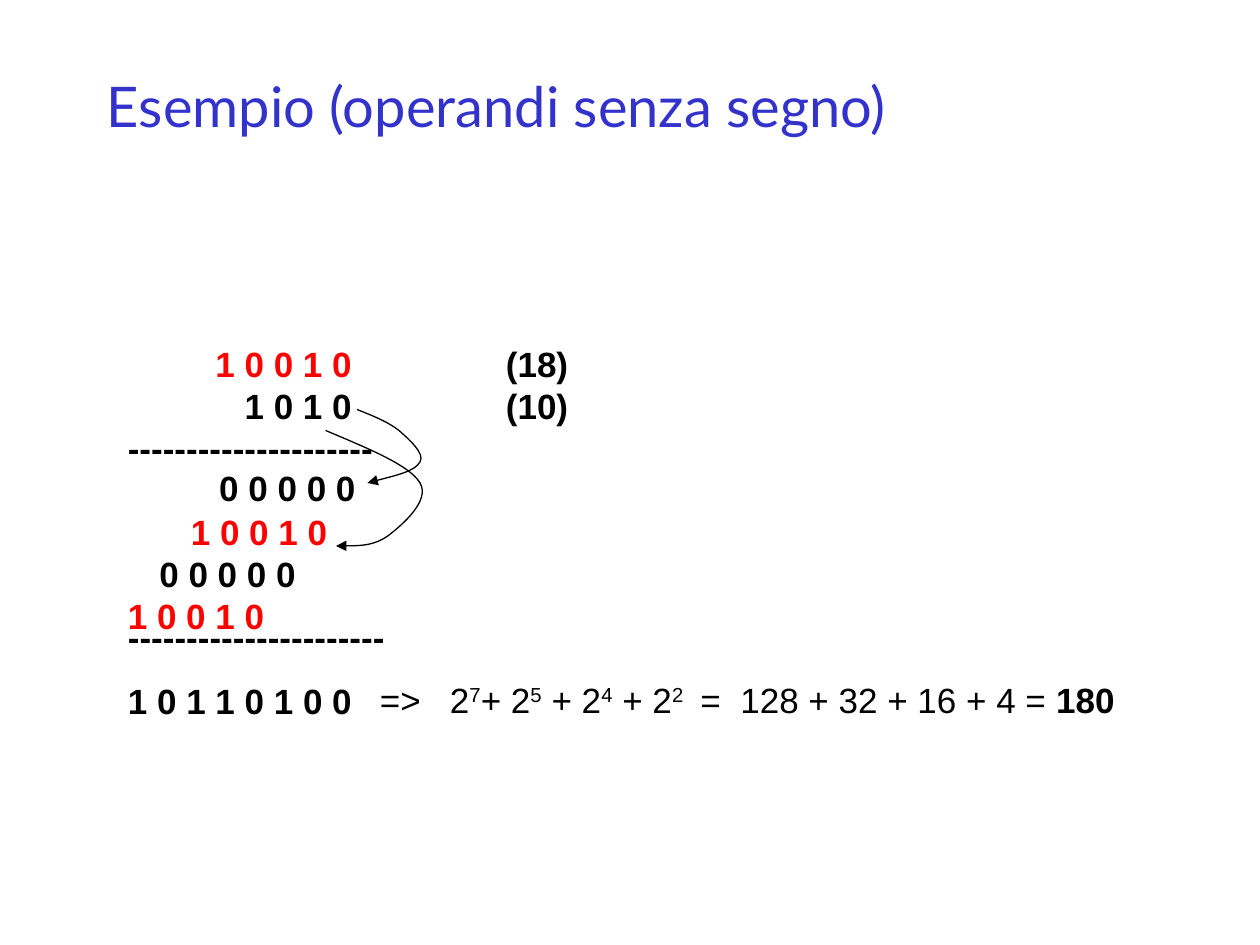
from lxml.etree import SubElement
from pptx import Presentation
from pptx.dml.color import RGBColor
from pptx.enum.text import MSO_ANCHOR
from pptx.oxml.ns import qn
from pptx.util import Inches, Pt

BLACK, RED, BLUE = "000000", "FF0000", "3333CC"


def rgb(value):
    return RGBColor.from_string(value)


class SlideWriter:
    """Places elements on a grid of twelve cells to the inch."""

    font, size, leading = "Arial", 20, 24

    def __init__(self, prs):
        self.slide = prs.slides.add_slide(prs.slide_layouts[6])

    def cells(self, *values):
        return [Inches(v / 12) for v in values]

    def run(self, p, text, color=BLACK, bold=False, size=None, font=None, raised=False, gap=0):
        """Add a run; gap widens each character by that many points."""
        r = p.add_run()
        r.text = text
        r.font.name = font or self.font
        r.font.size = Pt(size or self.size)
        r.font.bold = bold
        r.font.color.rgb = rgb(color)
        rPr = r._r.get_or_add_rPr()
        if raised:
            rPr.set("baseline", "30000")
        if gap:
            rPr.set("spc", str(round(gap * 100)))

    def box(self, col, row, cols, rows, wrap=True):
        tf = self.slide.shapes.add_textbox(*self.cells(col, row, cols, rows)).text_frame
        tf.word_wrap = wrap
        return tf

    def title(self, text, col, row, cols, rows):
        tf = self.box(col, row, cols, rows)
        tf.vertical_anchor = MSO_ANCHOR.MIDDLE
        self.run(tf.paragraphs[0], text, BLUE, size=32, font="Lato")

    def lines(self, col, row, cols, rows, items, before=0, wrap=True):
        """Write bold lines given as (text, colour, indent in cells)."""
        tf = self.box(col, row, cols, rows, wrap)
        for i, (text, color, indent) in enumerate(items):
            p = tf.add_paragraph() if i else tf.paragraphs[0]
            p.line_spacing = Pt(self.leading)
            p.space_before = Pt(before if i else 0)
            if indent:
                p._p.get_or_add_pPr().set("marL", str(self.cells(indent)[0]))
            self.run(p, text, color, bold=True)

    def formula(self, col, row, cols, rows, parts):
        """Write one line from (text, run options) pairs."""
        p = self.box(col, row, cols, rows).paragraphs[0]
        p.line_spacing = Pt(self.leading)
        for text, options in parts:
            self.run(p, text, **options)

    def curved_arrow(self, start, *points):
        """Draw cubic curves; points come in threes, two handles and an end."""
        builder = self.slide.shapes.build_freeform(*self.cells(*start))
        builder.add_line_segments([self.cells(*pt) for pt in points], close=False)
        sp = builder.convert_to_shape()
        segments = list(sp._element.iter(qn("a:lnTo")))
        for i in range(0, len(segments), 3):
            curve = segments[i].getparent()
            bezier = SubElement(curve, qn("a:cubicBezTo"))
            for segment in segments[i:i + 3]:
                bezier.append(segment[0])
                curve.remove(segment)
        sp.shadow.inherit = False
        sp.fill.background()
        sp.line.color.rgb = rgb(BLACK)
        sp.line.width = Pt(0.75)
        SubElement(sp.line._get_or_add_ln(), qn("a:tailEnd"), type="triangle")


def main():
    prs = Presentation()
    prs.slide_width, prs.slide_height = Inches(10), Inches(7.5)
    s = SlideWriter(prs)

    s.title("Esempio (operandi senza segno)", 9, 5, 102, 10)

    s.lines(11, 32, 35, 13, [("1 0 0 1 0", RED, 8.34),
                             ("1 0 1 0", BLACK, 11.12),
                             ("-" * 21, BLACK, 0)])
    s.lines(47, 32, 15, 9, [("(18)", BLACK, 0), ("(10)", BLACK, 0)])

    powers = [("2", "7"), ("+ 2", "5"), (" + 2", "4"), (" + 2", "2")]
    parts = [("=>", {}), (" ", {"gap": 11.1})]
    for base, exponent in powers:
        parts += [(base, {}), (exponent, {"raised": True})]
    parts += [(" ", {"gap": 4.1}), ("=", {}), (" ", {"gap": 5.6}),
              ("128 + 32 + 16 + 4 = ", {}), ("180", {"bold": True})]
    s.formula(35, 64, 73, 5.3, parts)

    partial_products = [(19.7, 43.8, "0 0 0 0 0", BLACK),
                        (17, 48, "1 0 0 1 0", RED),
                        (14, 52, "0 0 0 0 0", BLACK),
                        (11, 56, "1 0 0 1 0", RED)]
    for col, row, digits, color in partial_products:
        s.lines(col, row, 15.4, 5.3, [(digits, color, 0)], wrap=False)

    s.curved_arrow((34, 39), (35.5, 39.6), (37, 40.2), (38, 41),
                   (39, 41.9), (40.5, 43.2), (40, 44),
                   (39.5, 44.9), (37.2, 45.4), (35, 46))
    s.curved_arrow((31, 41), (35, 42.7), (39, 44.3), (40, 46),
                   (41, 47.7), (38.3, 50), (37, 51),
                   (35.6, 52), (33.8, 52), (32, 52))

    s.lines(11, 58, 28, 11.3, [("-" * 22, BLACK, 0),
                               ("1 0 1 1 0 1 0 0", BLACK, 0)], before=12.5)

    prs.save("out.pptx")


if __name__ == "__main__":
    main()
